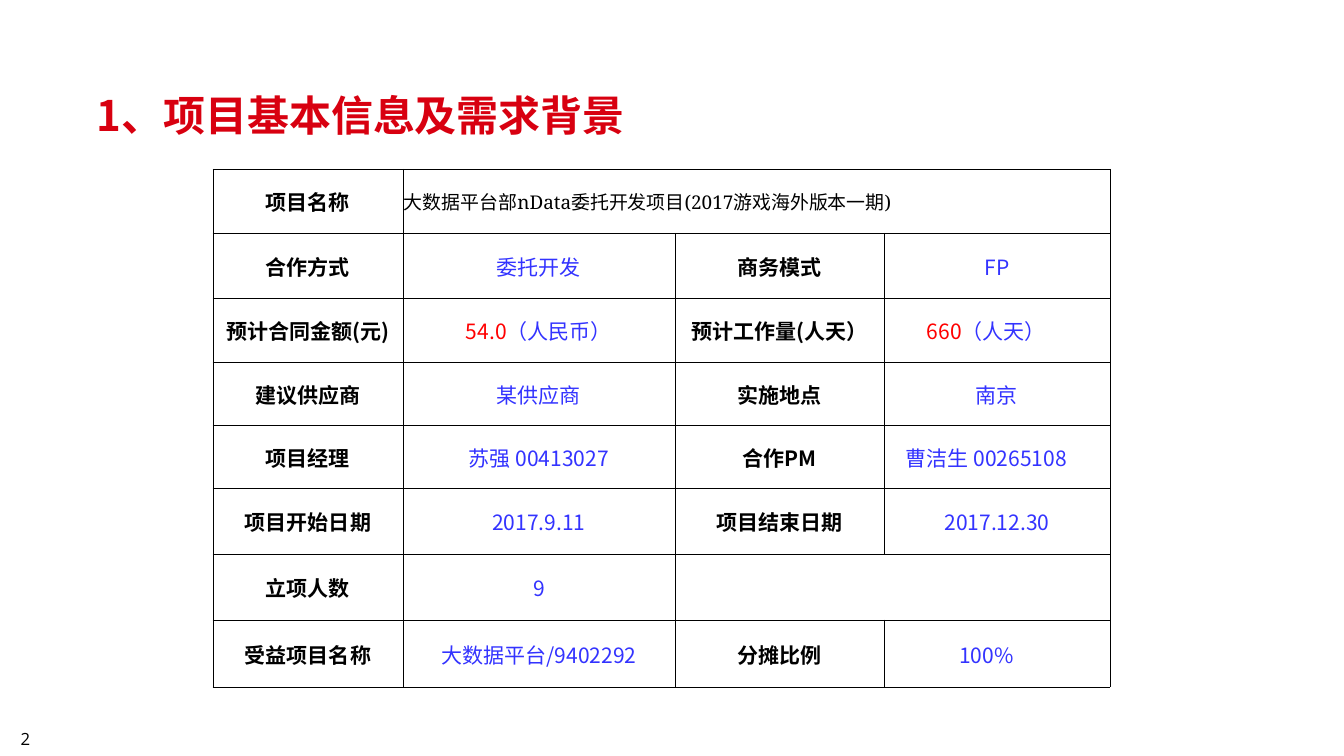
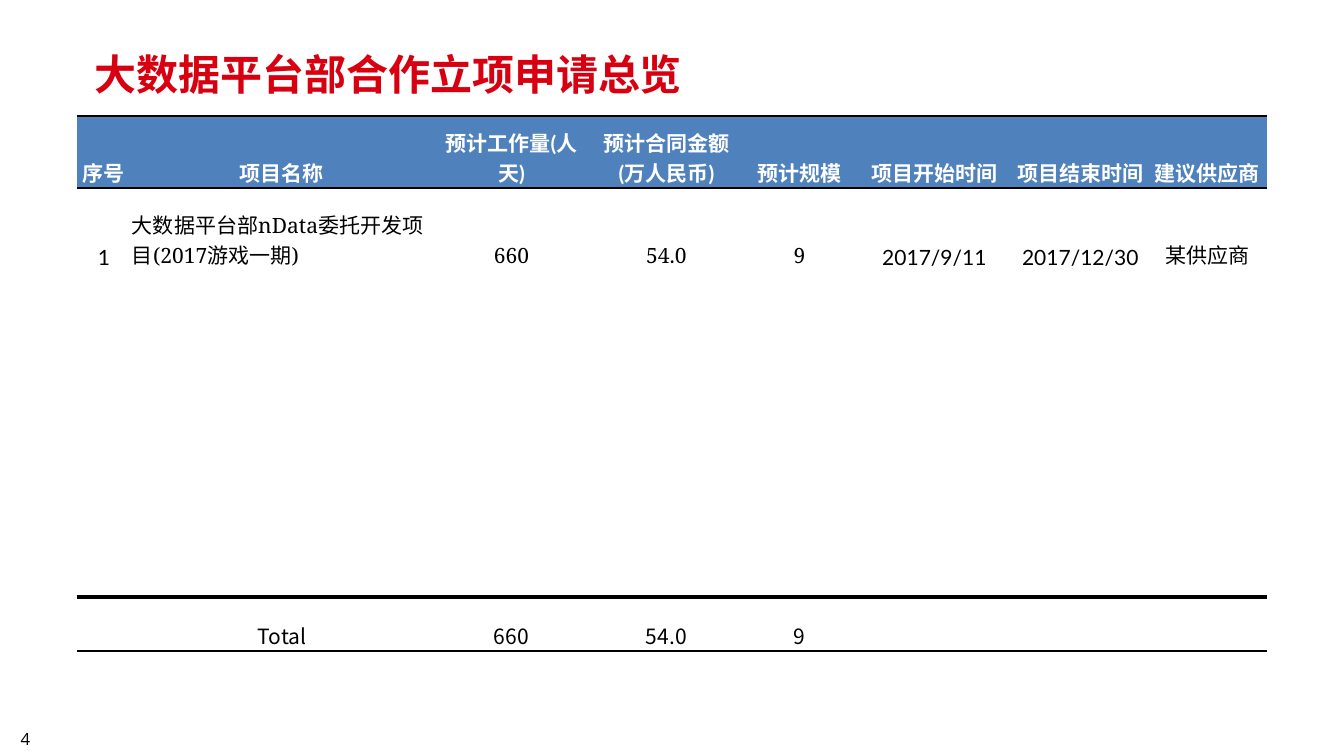
from dataclasses import dataclass
from typing import Optional

from lxml import etree
from pptx import Presentation
from pptx.dml.color import RGBColor
from pptx.enum.text import MSO_ANCHOR, MSO_AUTO_SIZE, PP_ALIGN
from pptx.oxml.ns import qn
from pptx.util import Emu, Pt

PX = 914400 / 75.6
SLIDE_W, SLIDE_H = 1344, 756
TITLE_ONLY = 5
NO_STYLE = "{2D5ABB26-0587-4C30-8999-92F81FD0307C}"

BLACK = RGBColor(0, 0, 0)
WHITE = RGBColor(255, 255, 255)
TITLE_RED = RGBColor(0xD8, 0x00, 0x10)
VALUE_BLUE = RGBColor(0x33, 0x33, 0xFF)
FIGURE_RED = RGBColor(255, 0, 0)
HEADER_BLUE = RGBColor(0x4F, 0x81, 0xBD)

CJK, SERIF, LATO, SANS = "Noto Sans CJK SC", "Noto Serif", "Lato", "Open Sans"
LEFT, CENTER = PP_ALIGN.LEFT, PP_ALIGN.CENTER
TOP, MIDDLE, BOTTOM = MSO_ANCHOR.TOP, MSO_ANCHOR.MIDDLE, MSO_ANCHOR.BOTTOM
NO_AUTOFIT = MSO_AUTO_SIZE.NONE


@dataclass(frozen=True)
class Style:
    """How the text of a paragraph looks."""
    font: str
    size: int
    color: RGBColor = BLACK
    bold: bool = False
    align: int = CENTER


@dataclass(frozen=True)
class Entry:
    """Text of one table cell; figure is a lead-in in red, pad a gap at right."""
    text: str
    style: Style
    figure: str = ""
    pad: int = 1


TITLE = Style(CJK, 40, TITLE_RED, True, LEFT)
PAGE_NUMBER = Style(SANS, 16)
LABEL = Style(CJK, 20, BLACK, True)
VALUE = Style(CJK, 20, VALUE_BLUE)
PROJECT = Style(SERIF, 18, align=LEFT)
HEADER = Style(LATO, 20, WHITE, True)
ITEM = Style(LATO, 20)
ITEM_NAME = Style(SERIF, 20, align=LEFT)
ITEM_FIGURE = Style(SERIF, 20)
TOTAL = Style(CJK, 20)

INFO_COLS = [190, 272, 209, 226]
INFO_ROWS = [64, 65, 64, 63, 63, 66, 66, 67]
INFO = [
    ["合作方式", "委托开发", "商务模式", "FP"],
    ["预计合同金额(元)", Entry("（人民币）", VALUE, "54.0"),
     "预计工作量(人天）", Entry("（人天）", VALUE, "660", 22)],
    ["建议供应商", "某供应商", "实施地点", "南京"],
    ["项目经理", "苏强 00413027", "合作PM",
     Entry("曹洁生 00265108", VALUE, pad=22)],
    ["项目开始日期", "2017.9.11", "项目结束日期", "2017.12.30"],
    ["立项人数", "9"],
    ["受益项目名称", "大数据平台/9402292", "分摊比例",
     Entry("100%", VALUE, pad=22)],
]

OVERVIEW_COLS = [54, 302, 157, 153, 113, 157, 135, 119]
OVERVIEW_ROWS = [72, 82, 61, 61, 63, 75, 67, 54]
OVERVIEW_HEADS = ["序号", "项目名称", "预计工作量(人天)", "预计合同金额(万人民币)",
                  "预计规模", "项目开始时间", "项目结束时间", "建议供应商"]
OVERVIEW_ITEM = [
    Entry("1", ITEM),
    Entry("大数据平台部nData委托开发项目(2017游戏一期)", ITEM_NAME),
    *(Entry(t, ITEM_FIGURE) for t in ("660", "54.0", "9")),
    *(Entry(t, ITEM) for t in ("2017/9/11", "2017/12/30", "某供应商")),
]
OVERVIEW_TOTAL = ["Total", "660", "54.0", "9"]


def px(n: float) -> Emu:
    """Turn pixels into EMU."""
    return Emu(round(n * PX))


def write(tf, text: str, style: Style, figure: str = "") -> None:
    """Fill a text frame with one styled paragraph."""
    p = tf.paragraphs[0]
    p.alignment = style.align
    p.font.name = style.font
    p.font.size = Pt(style.size)
    p.font.bold = style.bold
    p.font.color.rgb = style.color
    ea = etree.SubElement(p._p.pPr.find(qn("a:defRPr")), qn("a:ea"))
    ea.set("typeface", CJK)
    if figure:
        r = p.add_run()
        r.text = figure
        r.font.color.rgb = FIGURE_RED
    p.add_run().text = text


def add_slide(prs, title: str, left: int, top: int, number: int):
    """Add a slide with its title and page number."""
    s = prs.slides.add_slide(prs.slide_layouts[TITLE_ONLY])
    sp = s.shapes.title
    sp.left, sp.top, sp.width, sp.height = map(px, (left, top, 1053, 47))
    tf = sp.text_frame
    tf.auto_size = NO_AUTOFIT
    tf.vertical_anchor = TOP
    write(tf, title, TITLE)
    sp = s.shapes.add_textbox(px(-1), px(725), px(53), px(28))
    tf = sp.text_frame
    tf.word_wrap = True
    tf.vertical_anchor = MIDDLE
    write(tf, str(number), PAGE_NUMBER)
    return s


def add_grid(s, left: int, top: int, cols: list[int], rows: list[int]):
    """Add an unstyled table with the given column widths and row heights."""
    frame = s.shapes.add_table(len(rows), len(cols), px(left), px(top),
                               px(sum(cols)), px(sum(rows)))
    table = frame.table
    table.first_row = table.horz_banding = False
    table._tbl.tblPr.find(qn("a:tableStyleId")).text = NO_STYLE
    for column, width in zip(table.columns, cols):
        column.width = px(width)
    for row, height in zip(table.rows, rows):
        row.height = px(height)
    return table


def format_cell(cell, borders: dict[str, float],
                fill: Optional[RGBColor] = None) -> None:
    """Draw black borders (side letter to points), then the fill."""
    tc_pr = cell._tc.get_or_add_tcPr()
    for side, width in borders.items():
        ln = etree.SubElement(tc_pr, qn(f"a:ln{side}"), w=str(Pt(width)))
        solid = etree.SubElement(ln, qn("a:solidFill"))
        etree.SubElement(solid, qn("a:srgbClr"), val=str(BLACK))
    if fill is None:
        cell.fill.background()
    else:
        cell.fill.solid()
        cell.fill.fore_color.rgb = fill


def fill_cell(cell, entry: Entry, anchor: int) -> None:
    """Write an entry into a cell with tight margins."""
    cell.margin_left = cell.margin_top = px(1)
    cell.margin_right = px(entry.pad)
    cell.margin_bottom = 0
    cell.vertical_anchor = anchor
    write(cell.text_frame, entry.text, entry.style, entry.figure)


def build_info(prs) -> None:
    """Build the slide with the project's basic information."""
    s = add_slide(prs, "1、项目基本信息及需求背景", 89, 86, 2)
    table = add_grid(s, 213, 169, INFO_COLS, INFO_ROWS)
    for cell in table.iter_cells():
        format_cell(cell, dict.fromkeys("LRTB", 0.5))
    table.cell(0, 1).merge(table.cell(0, 3))
    table.cell(6, 2).merge(table.cell(6, 3))
    fill_cell(table.cell(0, 0), Entry("项目名称", LABEL), MIDDLE)
    name = "大数据平台部nData委托开发项目(2017游戏海外版本一期)"
    fill_cell(table.cell(0, 1), Entry(name, PROJECT), MIDDLE)
    for i, row in enumerate(INFO, 1):
        for j, item in enumerate(row):
            if isinstance(item, str):
                item = Entry(item, VALUE if j % 2 else LABEL)
            fill_cell(table.cell(i, j), item, MIDDLE)


def build_overview(prs) -> None:
    """Build the slide with the overview of applications."""
    s = add_slide(prs, "大数据平台部合作立项申请总览", 87, 45, 4)
    table = add_grid(s, 77, 116, OVERVIEW_COLS, OVERVIEW_ROWS)
    last = len(OVERVIEW_ROWS) - 1
    borders = {0: {"T": 2, "B": 2}, last: {"T": 4, "B": 2}}
    for i in range(last + 1):
        for j in range(len(OVERVIEW_COLS)):
            format_cell(table.cell(i, j), borders.get(i, {}),
                        WHITE if i else HEADER_BLUE)
    for j, head in enumerate(OVERVIEW_HEADS):
        fill_cell(table.cell(0, j), Entry(head, HEADER), BOTTOM)
    for j, entry in enumerate(OVERVIEW_ITEM):
        fill_cell(table.cell(1, j), entry, BOTTOM)
    for j, text in enumerate(OVERVIEW_TOTAL, 1):
        fill_cell(table.cell(last, j), Entry(text, TOTAL), BOTTOM)


def main() -> None:
    """Build and save the presentation."""
    prs = Presentation()
    prs.slide_width, prs.slide_height = px(SLIDE_W), px(SLIDE_H)
    build_info(prs)
    build_overview(prs)
    prs.save("out.pptx")


main()
